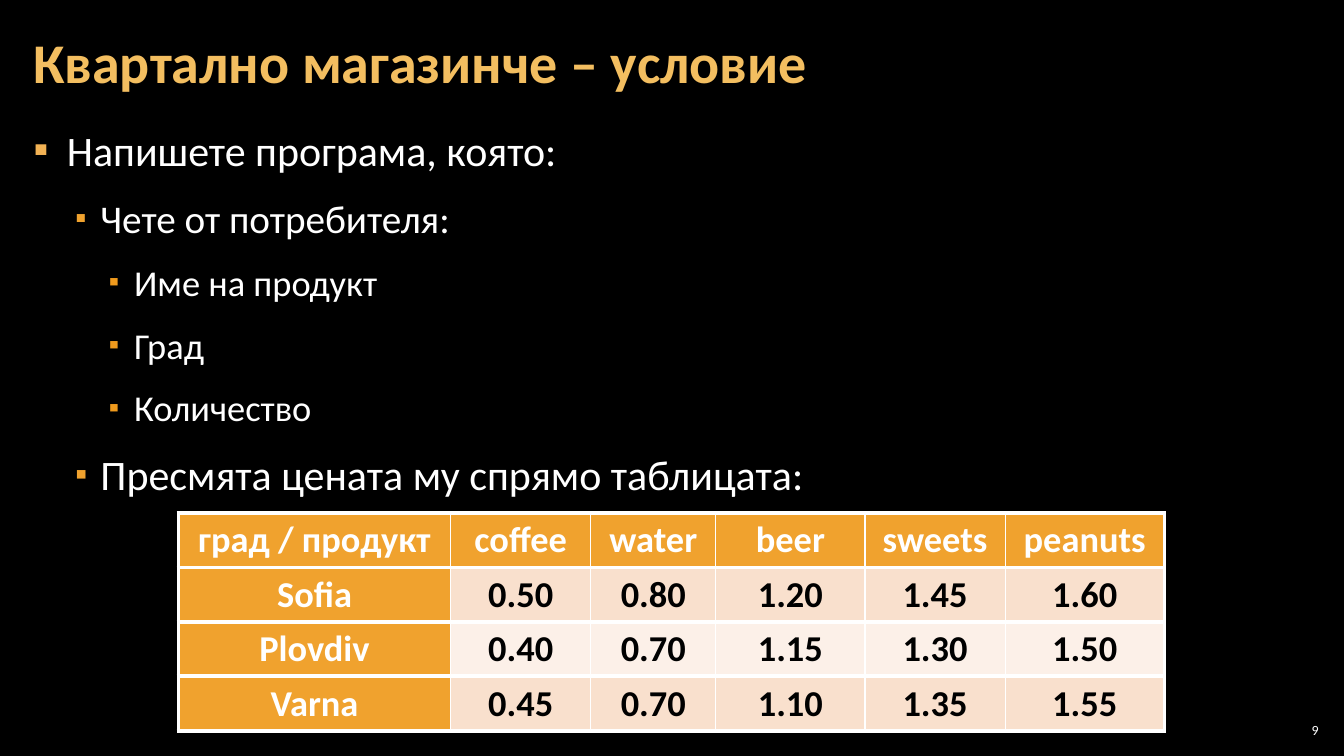
"""Build the neighbourhood shop task slide with its price table."""
from dataclasses import dataclass

from lxml.etree import SubElement
from pptx import Presentation
from pptx.dml.color import RGBColor
from pptx.enum.text import MSO_ANCHOR as Anchor, PP_ALIGN as Align
from pptx.oxml.ns import qn
from pptx.util import Inches, Pt


@dataclass(frozen=True)
class Theme:
    font: str = "Calibri"
    black: str = "000000"
    white: str = "FFFFFF"
    title: str = "F3BE60"
    orange: str = "F0A22E"
    bands: tuple = ("F9E0CD", "FCF0E8")
    bullets: tuple = ("F2B254", "F0A22E", "EF9A1D")
    title_size: int = 40
    table_size: int = 26
    number_size: int = 10


theme = Theme()


def write(para, text, size, color=theme.white, bold=False, align=Align.LEFT, spacing=1.0):
    para.alignment = align
    para.line_spacing = spacing
    span = para.add_run()
    span.text = text
    span.font.name = theme.font
    span.font.size = Pt(size)
    span.font.bold = bold
    span.font.color.rgb = RGBColor.from_string(color)


def add_frame(page, left, top, width, height, side=0.12, anchor=Anchor.MIDDLE):
    box = page.shapes.add_textbox(Inches(left), Inches(top), Inches(width), Inches(height))
    frame = box.text_frame
    frame.word_wrap = True
    frame.vertical_anchor = anchor
    frame.margin_left = frame.margin_right = Inches(side)
    frame.margin_top = frame.margin_bottom = Inches(0.04)
    return frame


deck = Presentation()
deck.slide_width, deck.slide_height = Inches(13.33), Inches(7.5)
page = deck.slides.add_slide(deck.slide_layouts[6])
page.background.fill.solid()
page.background.fill.fore_color.rgb = RGBColor.from_string(theme.black)

task_lines = [
    (0, 30, "Напишете програма, която:"),
    (1, 28, "Чете от потребителя:"),
    (2, 26, "Име на продукт"),
    (2, 26, "Град"),
    (2, 26, "Количество"),
    (1, 30, "Пресмята цената му спрямо таблицата:"),
]
task = add_frame(page, 0.21, 1.17, 12.91, 5.97, anchor=Anchor.TOP)
for index, (level, size, text) in enumerate(task_lines):
    para = task.add_paragraph() if index else task.paragraphs[0]
    write(para, text, size, spacing=1.05)
    para.level = level
    para.space_before = para.space_after = Pt(6)
    props = para._p.get_or_add_pPr()
    props.set("marL", str(Inches((level + 1) / 3)))
    props.set("indent", str(-Inches(0.25 if level else 0.33)))
    bullet_color = SubElement(props, qn("a:buClr"))
    SubElement(bullet_color, qn("a:srgbClr"), val=theme.bullets[level])
    SubElement(props, qn("a:buSzPct"), val="80000" if level else "100000")
    SubElement(props, qn("a:buFont"), typeface=theme.font)
    SubElement(props, qn("a:buChar"), char="▪")

number = add_frame(page, 12.65, 7.14, 0.47, 0.21, side=0.04)
write(number.paragraphs[0], "9", theme.number_size, align=Align.RIGHT)

title = add_frame(page, 0.21, 0.04, 10.47, 1.21)
write(title.paragraphs[0], "Квартално магазинче – условие", theme.title_size,
      color=theme.title, bold=True, spacing=0.9)

prices = [
    ("град / продукт", "coffee", "water", "beer", "sweets", "peanuts"),
    ("Sofia", "0.50", "0.80", "1.20", "1.45", "1.60"),
    ("Plovdiv", "0.40", "0.70", "1.15", "1.30", "1.50"),
    ("Varna", "0.45", "0.70", "1.10", "1.35", "1.55"),
]
column_widths = [2.7, 1.39, 1.24, 1.48, 1.39, 1.58]
table = page.shapes.add_table(len(prices), len(column_widths), Inches(1.77), Inches(5.09),
                              Inches(9.78), Inches(2.17)).table
for column, width in zip(table.columns, column_widths):
    column.width = Inches(width)

for row, values in enumerate(prices):
    table.rows[row].height = Inches(0.54)
    for col, text in enumerate(values):
        cell = table.cell(row, col)
        header = row == 0 or col == 0
        cell.vertical_anchor = Anchor.MIDDLE
        cell.margin_left = cell.margin_right = Inches(0.07)
        cell.margin_top = cell.margin_bottom = 0
        write(cell.text_frame.paragraphs[0], text, theme.table_size, bold=True,
              color=theme.white if header else theme.black, align=Align.CENTER)
        borders = {
            "a:lnL": 3 if col == 0 else 1,
            "a:lnR": 3 if col == len(values) - 1 else 1,
            "a:lnT": 3,
            "a:lnB": 3,
        }
        for tag, weight in borders.items():
            line = SubElement(cell._tc.get_or_add_tcPr(), qn(tag), w=str(Pt(weight)))
            line_fill = SubElement(line, qn("a:solidFill"))
            SubElement(line_fill, qn("a:srgbClr"), val=theme.white)
        cell.fill.solid()
        fill = theme.orange if header else theme.bands[(row - 1) % 2]
        cell.fill.fore_color.rgb = RGBColor.from_string(fill)

deck.save("out.pptx")
